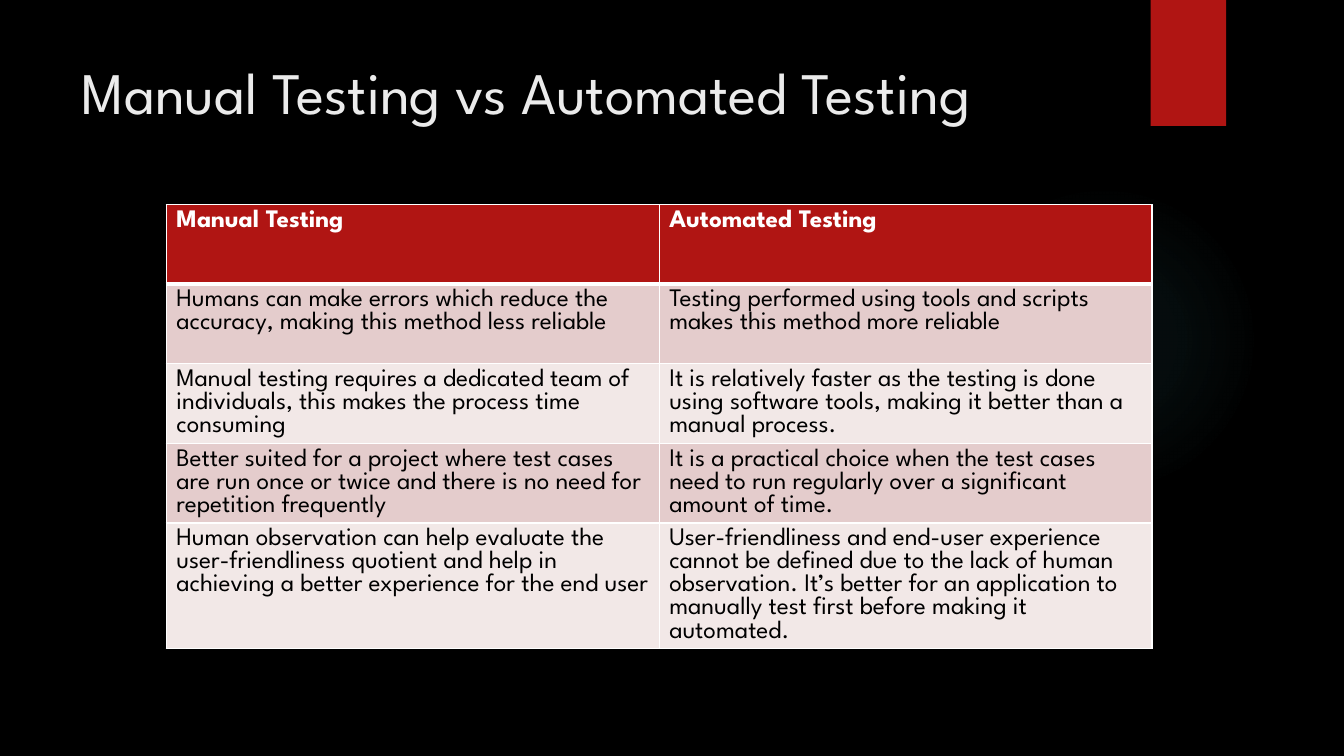
import dataclasses

import pptx
import pptx.dml.color
import pptx.enum.shapes
import pptx.enum.text
import pptx.oxml
import pptx.oxml.ns
import pptx.util

UNIT = pptx.util.Inches(1) / 12  # one grid column or row; the slide is 160 by 90
SHAPES = pptx.enum.shapes.MSO_SHAPE


@dataclasses.dataclass(frozen=True)
class Theme:
    """Colours, font and type sizes of the slide."""
    font: str = "League Spartan"
    background: str = "000000"
    accent: str = "B01513"
    glow: str = "50B9C1"
    title: str = "EBEBEB"
    header: str = "FFFFFF"
    body: str = "000000"
    border: str = "FFFFFF"
    bands: tuple = ("E4CCCC", "F2E8E7")
    title_pt: int = 42
    table_pt: int = 18
    table_line_pt: float = 16.5


THEME = Theme()

COMPARISON = [
    ("Manual Testing", "Automated Testing"),
    ("Humans can make errors which reduce the accuracy, making this method less reliable",
     "Testing performed using tools and scripts makes this method more reliable"),
    ("Manual testing requires a dedicated team of individuals, this makes the process "
     "time consuming",
     "It is relatively faster as the testing is done using software tools, making it "
     "better than a manual process."),
    ("Better suited for a project where test cases are run once or twice and there is "
     "no need for repetition frequently",
     "It is a practical choice when the test cases need to run regularly over a "
     "significant amount of time."),
    ("Human observation can help evaluate the user-friendliness quotient and help in "
     "achieving a better experience for the end user",
     "User-friendliness and end-user experience cannot be defined due to the lack of "
     "human observation. It\u2019s better for an application to manually test first "
     "before making it automated."),
]


def rgb(value):
    """Turn a hex string into a colour."""
    return pptx.dml.color.RGBColor.from_string(value)


def grid(*cells):
    """Convert grid columns and rows to slide lengths."""
    return [round(c * UNIT) for c in cells]


def paint(fill, color):
    """Give a fill one solid colour."""
    fill.solid()
    fill.fore_color.rgb = rgb(color)


def write(tf, text, size, color, bold=False, line_pt=None):
    """Set the text of a frame and format its paragraphs and runs."""
    tf.text = text
    tf.word_wrap = True
    for p in tf.paragraphs:
        if line_pt:
            p.line_spacing = pptx.util.Pt(line_pt)
        for r in p.runs:
            r.font.name = THEME.font
            r.font.size = pptx.util.Pt(size)
            r.font.bold = bold
            r.font.color.rgb = rgb(color)


def add_plain(s, kind, box):
    """Add a shape with neither line nor shadow."""
    sp = s.shapes.add_shape(kind, *grid(*box))
    sp.shadow.inherit = False
    sp.line.fill.background()
    return sp


def add_glow(s, box):
    """Place a faint circle that fades out towards its edge."""
    sp = add_plain(s, SHAPES.OVAL, box)
    sp.fill.gradient()
    stops = "".join(
        f'<a:gs pos="{pos * 1000}"><a:srgbClr val="{THEME.glow}">'
        f'<a:alpha val="{alpha * 1000}"/></a:srgbClr></a:gs>'
        for pos, alpha in ((0, 7), (36, 6), (69, 0)))
    gradient = pptx.oxml.parse_xml(
        f'<a:gradFill {pptx.oxml.ns.nsdecls("a")}><a:gsLst>{stops}</a:gsLst>'
        '<a:path path="circle"><a:fillToRect l="50000" t="50000" r="50000" b="50000"/>'
        '</a:path></a:gradFill>')
    spPr = sp.element.spPr
    spPr.replace(spPr.find(pptx.oxml.ns.qn("a:gradFill")), gradient)


def add_ribbon(s, box):
    """Place the red tab that hangs from the top edge."""
    paint(add_plain(s, SHAPES.RECTANGLE, box).fill, THEME.accent)


def add_title(s, box, text):
    """Place the slide title at the top of its box."""
    tf = s.shapes.add_textbox(*grid(*box)).text_frame
    tf.vertical_anchor = pptx.enum.text.MSO_ANCHOR.TOP
    write(tf, text, THEME.title_pt, THEME.title)


def set_borders(cell, top, bottom):
    """Draw the four cell edges; top and bottom are widths in points."""
    tcPr = cell._tc.get_or_add_tcPr()
    for i, (side, width) in enumerate(zip("LRTB", (1, 1, top, bottom))):
        ln = pptx.oxml.parse_xml(
            f'<a:ln{side} {pptx.oxml.ns.nsdecls("a")} w="{pptx.util.Pt(width)}">'
            f'<a:solidFill><a:srgbClr val="{THEME.border}"/></a:solidFill></a:ln{side}>')
        tcPr.insert(i, ln)


def add_comparison(s, box, rows):
    """Fill the box with a table of a header and banded rows."""
    table = s.shapes.add_table(len(rows), len(rows[0]), *grid(*box)).table
    for i, row in enumerate(rows):
        header = i == 0
        for j, text in enumerate(row):
            cell = table.cell(i, j)
            write(cell.text_frame, text, THEME.table_pt,
                  THEME.header if header else THEME.body, header, THEME.table_line_pt)
            paint(cell.fill, THEME.accent if header else THEME.bands[(i - 1) % 2])
            set_borders(cell, 3 if i == 1 else 1, 3 if header else 1)


def build_comparison_slide(prs):
    """Add the slide and lay out its regions on the grid."""
    s = prs.slides.add_slide(prs.slide_layouts[6])
    paint(s.background.fill, THEME.background)
    add_glow(s, (112.92, 21.96, 36.96, 36.96))
    add_ribbon(s, (136.97, 0, 9, 15))
    add_title(s, (8.52, 6, 123.48, 18.36), " vs ".join(COMPARISON[0]))
    add_comparison(s, (19.8, 24.36, 117.36, 47.4), COMPARISON)


prs = pptx.Presentation()
prs.slide_width, prs.slide_height = grid(160, 90)
build_comparison_slide(prs)
prs.save("out.pptx")
